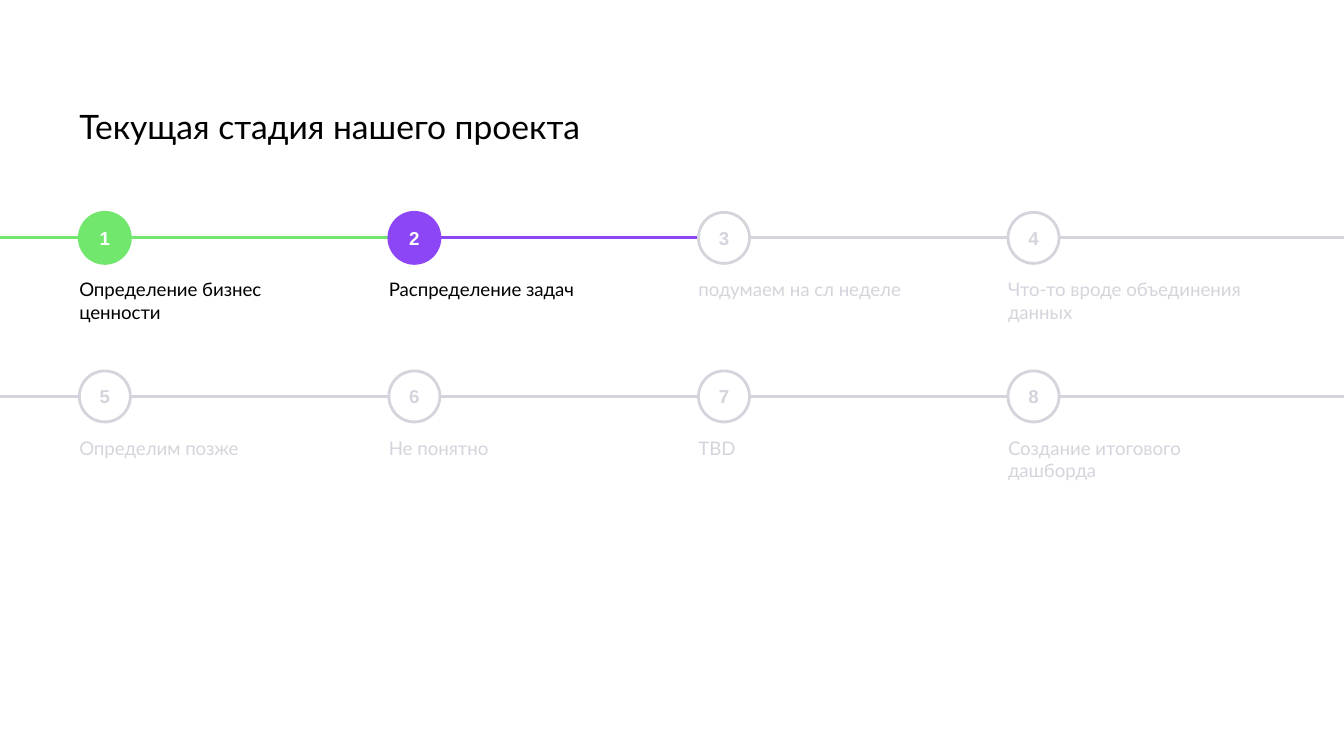
from lxml import etree
from pptx import Presentation
from pptx.dml.color import RGBColor
from pptx.enum.shapes import MSO_CONNECTOR, MSO_SHAPE
from pptx.enum.text import MSO_ANCHOR, MSO_AUTO_SIZE, PP_ALIGN
from pptx.oxml.ns import qn
from pptx.util import Inches, Pt

OVAL = MSO_SHAPE.OVAL
LINE = MSO_CONNECTOR.STRAIGHT
TOP, MIDDLE = MSO_ANCHOR.TOP, MSO_ANCHOR.MIDDLE
LEFT, CENTER = PP_ALIGN.LEFT, PP_ALIGN.CENTER
FIXED = MSO_AUTO_SIZE.NONE

BLACK, WHITE, GRAY = "000000", "FFFFFF", "D4D4DD"
GREEN, PURPLE = "71E76E", "8D46F6"

# Grid in inches: a 16:9 slide with four columns and two rows of steps
WIDTH = 10
HEIGHT = WIDTH * 9 / 16
COLS = 4
EDGE, LABEL = 0.59, 1.91
COL = (WIDTH - 2 * EDGE - LABEL) / (COLS - 1)
AXIS, ROW = 1.77, 1.18
DOT = 0.38

# Step label and its state colour; gray means not started
STEPS = [
    ("Определение бизнес ценности", GREEN),
    ("Распределение задач", PURPLE),
    ("подумаем на сл неделе", GRAY),
    ("Что-то вроде объединения данных", GRAY),
    ("Определим позже", GRAY),
    ("Не понятно", GRAY),
    ("TBD", GRAY),
    ("Создание итогового дашборда", GRAY),
]


def paint(code):
    return RGBColor.from_string(code)


def write(shape, text, size=10, font="Lato", color=BLACK, bold=False,
          align=LEFT, anchor=TOP, pads=(0, 0, 0, 0)):
    frame = shape.text_frame
    frame.word_wrap = True
    frame.auto_size = FIXED
    frame.vertical_anchor = anchor
    (frame.margin_left, frame.margin_top,
     frame.margin_right, frame.margin_bottom) = map(Inches, pads)
    para = frame.paragraphs[0]
    para.alignment = align
    run = para.add_run()
    run.text = text
    run.font.size = Pt(size)
    run.font.name = font
    run.font.bold = bold
    run.font.color.rgb = paint(color)


def add_text(slide, x, y, w, h, text, **style):
    box = slide.shapes.add_textbox(*map(Inches, (x, y, w, h)))
    write(box, text, **style)


def add_track(slide, start, end, y, color):
    track = slide.shapes.add_connector(LINE, *map(Inches, (start, y, end, y)))
    track.line.color.rgb = paint(color)
    track.line.width = Pt(1.5)
    etree.SubElement(track._element.spPr, qn("a:effectLst"))


def add_dot(slide, x, y, number, color):
    done = color != GRAY
    dot = slide.shapes.add_shape(
        OVAL, *map(Inches, (x, y - DOT / 2, DOT, DOT)))
    dot.shadow.inherit = False
    dot.fill.solid()
    dot.fill.fore_color.rgb = paint(color if done else WHITE)
    dot.line.color.rgb = paint(color)
    dot.line.width = Pt(1.5)
    write(dot, str(number), font="Arial", bold=True, align=CENTER,
          anchor=MIDDLE, color=WHITE if done else GRAY)


def add_step(slide, index, label, color):
    row, col = divmod(index, COLS)
    x, y = EDGE + col * COL, AXIS + row * ROW

    # Track: lead-in before the first column, then on to the next step
    if col == 0:
        add_track(slide, 0, x, y, color)
    end = x + COL if col < COLS - 1 else WIDTH
    add_track(slide, x + DOT, end, y, color)

    # Numbered dot and label below it
    add_dot(slide, x, y, index + 1, color)
    add_text(slide, x, y + 0.2, LABEL, 0.37, label,
             color=GRAY if color == GRAY else BLACK,
             pads=(0, 0.1, 0.1, 0.1))


def main():
    deck = Presentation()
    deck.slide_width, deck.slide_height = Inches(WIDTH), Inches(HEIGHT)
    slide = deck.slides.add_slide(deck.slide_layouts[6])

    # Title
    add_text(slide, EDGE, 0.79, WIDTH - 2 * EDGE, 0.35,
             "Текущая стадия нашего проекта", size=18)

    # Timeline
    for index, (label, color) in enumerate(STEPS):
        add_step(slide, index, label, color)

    deck.save("out.pptx")


if __name__ == "__main__":
    main()
